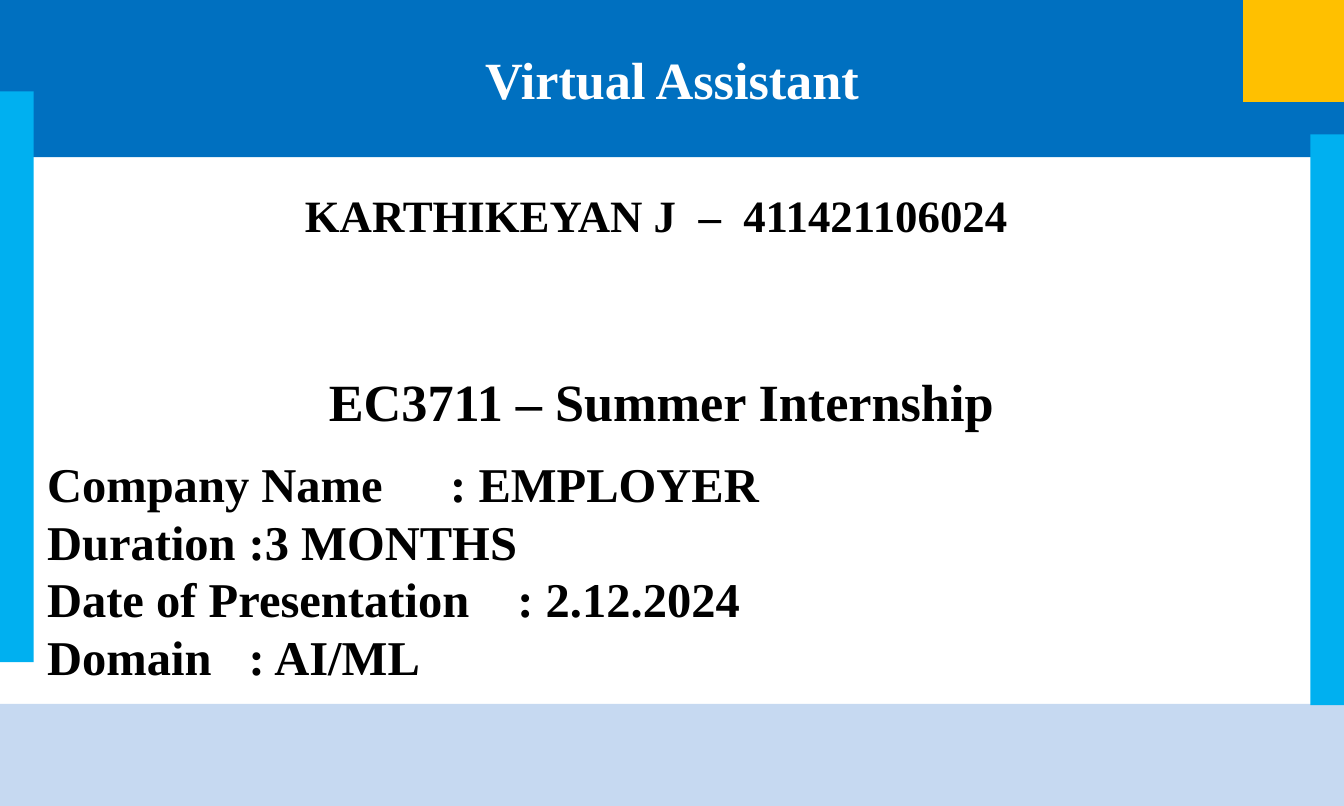
from dataclasses import dataclass

from lxml import etree
from pptx import Presentation
from pptx import util as u
from pptx.dml.color import RGBColor
from pptx.enum import shapes, text
from pptx.oxml.ns import qn

EMU_PER_PX = 9144
FONT = "Times New Roman"
LEFT, CENTER = text.PP_ALIGN.LEFT, text.PP_ALIGN.CENTER
VALUE_TAB = 400


@dataclass(frozen=True)
class Box:
    left: int
    top: int
    width: int
    height: int


@dataclass(frozen=True)
class Panel:
    box: Box
    color: str


@dataclass(frozen=True)
class Caption:
    box: Box
    words: str
    size: int
    align: text.PP_ALIGN


PANELS = [
    Panel(Box(0, 524, 1000, 76), "C6D9F1"),
    Panel(Box(975, 100, 25, 425), "00B0F0"),
    Panel(Box(0, 68, 25, 425), "00B0F0"),
    Panel(Box(925, 0, 75, 76), "FFC000"),
]
CAPTIONS = [
    Caption(Box(217, 135, 658, 50), "KARTHIKEYAN J  –  411421106024", 24, LEFT),
    Caption(Box(67, 270, 850, 57), "EC3711 – Summer Internship", 28, CENTER),
]
DETAILS = [
    ("Company Name", ": EMPLOYER"),
    ("Duration", ":3 MONTHS"),
    ("Date of Presentation", ": 2.12.2024"),
    ("Domain", ": AI/ML"),
]


def px(length: int) -> int:
    return length * EMU_PER_PX


def emu(box: Box) -> tuple[int, int, int, int]:
    return px(box.left), px(box.top), px(box.width), px(box.height)


def rgb(color: str) -> RGBColor:
    return RGBColor.from_string(color)


def apply(target, values: dict) -> None:
    for name, value in values.items():
        setattr(target, name, value)


def place(shape, box: Box) -> None:
    apply(shape, dict(zip(("left", "top", "width", "height"), emu(box))))


def write(para, words: str, size: int, color: str, align: text.PP_ALIGN) -> None:
    span = para.add_run()
    span.text = words
    apply(span.font, {"name": FONT, "size": u.Pt(size), "bold": True})
    span.font.color.rgb = rgb(color)
    para.alignment = align


def add_panel(page, panel: Panel) -> None:
    shape = page.shapes.add_shape(shapes.MSO_SHAPE.RECTANGLE, *emu(panel.box))
    shape.shadow.inherit = False
    shape.fill.solid()
    shape.fill.fore_color.rgb = rgb(panel.color)
    shape.line.fill.background()


def add_caption(page, caption: Caption) -> None:
    frame = page.shapes.add_textbox(*emu(caption.box)).text_frame
    apply(frame, {"word_wrap": True, "auto_size": text.MSO_AUTO_SIZE.SHAPE_TO_FIT_TEXT})
    write(frame.paragraphs[0], caption.words, caption.size, "000000", caption.align)


def fill_title(title) -> None:
    place(title, Box(0, 0, 1000, 117))
    title.fill.solid()
    title.fill.fore_color.rgb = rgb("0070C0")
    frame = title.text_frame
    apply(frame, {
        "auto_size": text.MSO_AUTO_SIZE.NONE,
        "vertical_anchor": text.MSO_ANCHOR.MIDDLE,
    })
    write(frame.paragraphs[0], "Virtual Assistant", 28, "FFFFFF", CENTER)


def add_tab(para, position: int) -> None:
    tabs = etree.SubElement(para._p.get_or_add_pPr(), qn("a:tabLst"))
    etree.SubElement(tabs, qn("a:tab"), pos=str(px(position)), algn="l")


def fill_details(body) -> None:
    place(body, Box(25, 333, 975, 196))
    frame = body.text_frame
    apply(frame, {
        "auto_size": text.MSO_AUTO_SIZE.NONE,
        "vertical_anchor": text.MSO_ANCHOR.TOP,
    })
    for index, (label, value) in enumerate(DETAILS):
        para = frame.add_paragraph() if index else frame.paragraphs[0]
        write(para, f"{label}\t{value}", 26, "000000", LEFT)
        apply(para, {"line_spacing": u.Pt(31), "space_before": u.Pt(0)})
        add_tab(para, VALUE_TAB)


def main() -> None:
    deck = Presentation()
    apply(deck, {"slide_width": px(1000), "slide_height": px(600)})
    page = deck.slides.add_slide(deck.slide_layouts[0])
    fill_title(page.shapes.title)
    fill_details(page.placeholders[1])
    for panel in PANELS:
        add_panel(page, panel)
    for caption in CAPTIONS:
        add_caption(page, caption)
    deck.save("out.pptx")


if __name__ == "__main__":
    main()
